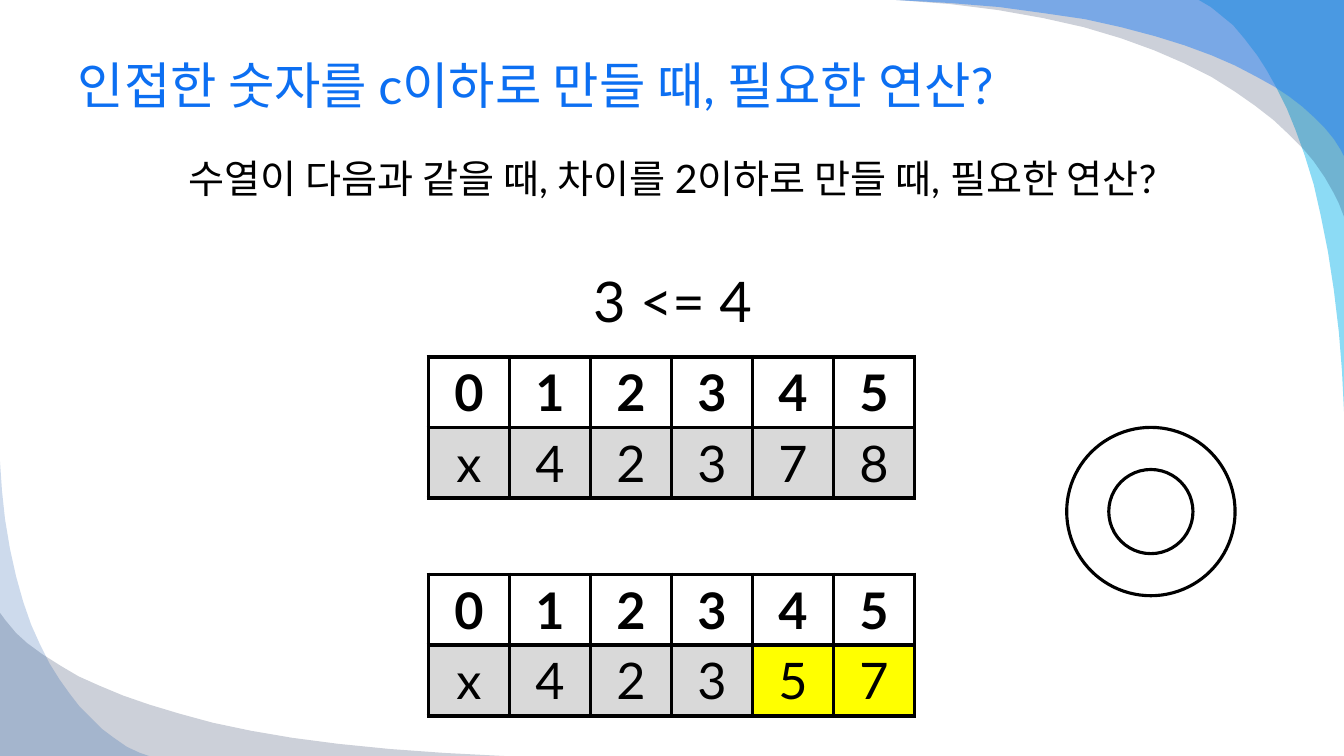
from dataclasses import dataclass

from lxml import etree
from pptx import Presentation
from pptx.dml.color import RGBColor
from pptx.enum.shapes import MSO_SHAPE
from pptx.enum.text import MSO_ANCHOR, MSO_AUTO_SIZE, PP_ALIGN
from pptx.oxml.ns import qn
from pptx.slide import Slide
from pptx.text.text import _Paragraph as Paragraph
from pptx.util import Inches, Pt

BLACK = RGBColor(0x00, 0x00, 0x00)
WHITE = RGBColor(0xFF, 0xFF, 0xFF)
GREY = RGBColor(0xD9, 0xD9, 0xD9)
YELLOW = RGBColor(0xFF, 0xFF, 0x00)
TITLE_BLUE = RGBColor(0x0C, 0x6F, 0xF2)
CYAN = RGBColor(0x00, 0xB1, 0xE9)
NAVY = RGBColor(0x02, 0x17, 0x41)
SKY_BLUE = RGBColor(0x24, 0x7F, 0xF4)
DEEP_BLUE = RGBColor(0x08, 0x4A, 0xA1)

FONT = "Lato"
TABLE_LEFT = 4.25
TABLE_WIDTH = 4.82
ROW_HEIGHT = 0.7
BORDER_SIDES = ("a:lnL", "a:lnR", "a:lnT", "a:lnB")


@dataclass(frozen=True)
class Swoosh:
    """A translucent corner: the corner point, then its curved edge."""
    color: RGBColor
    opacity: int
    outline: tuple[tuple[float, float], ...]


@dataclass(frozen=True)
class Sequence:
    top: float
    values: str
    changed: frozenset[int] = frozenset()


SWOOSHES = (
    Swoosh(CYAN, 45, (
        (13.33, 0), (11.89, 0), (12.01, 0.07), (12.12, 0.16), (12.23, 0.25),
        (12.34, 0.38), (12.47, 0.55), (12.56, 0.69), (12.66, 0.87),
        (12.76, 1.07), (12.85, 1.29), (12.94, 1.54), (13.03, 1.83),
        (13.1, 2.14), (13.17, 2.49), (13.23, 2.88), (13.28, 3.3),
        (13.31, 3.68), (13.33, 4.08))),
    Swoosh(NAVY, 20, (
        (13.33, 0), (8.89, 0), (9.42, 0.04), (9.9, 0.1), (10.35, 0.18),
        (10.75, 0.27), (11.12, 0.38), (11.45, 0.5), (11.75, 0.63),
        (12.01, 0.76), (12.25, 0.91), (12.45, 1.05), (12.63, 1.19),
        (12.79, 1.34), (12.92, 1.47), (13.03, 1.6), (13.14, 1.76),
        (13.22, 1.9), (13.28, 2.02), (13.33, 2.15))),
    Swoosh(SKY_BLUE, 49, (
        (13.33, 0), (8.89, 0), (9.42, 0.03), (9.91, 0.07), (10.35, 0.13),
        (10.76, 0.19), (11.12, 0.27), (11.46, 0.36), (11.75, 0.45),
        (12.02, 0.55), (12.25, 0.65), (12.46, 0.76), (12.64, 0.86),
        (12.79, 0.96), (12.92, 1.06), (13.03, 1.16), (13.14, 1.27),
        (13.23, 1.38), (13.3, 1.49), (13.33, 1.55))),
    Swoosh(NAVY, 20, (
        (0, 7.5), (0, 6.08), (0.06, 6.16), (0.16, 6.28), (0.27, 6.38),
        (0.42, 6.49), (0.61, 6.61), (0.78, 6.71), (0.98, 6.8), (1.22, 6.9),
        (1.48, 6.99), (1.78, 7.08), (2.11, 7.17), (2.49, 7.25), (2.9, 7.32),
        (3.36, 7.38), (3.86, 7.43), (4.41, 7.47), (5, 7.5))),
    Swoosh(DEEP_BLUE, 20, (
        (0, 7.5), (0, 4.58), (0.02, 4.87), (0.05, 5.15), (0.1, 5.45),
        (0.16, 5.72), (0.23, 5.97), (0.31, 6.2), (0.4, 6.4), (0.49, 6.58),
        (0.59, 6.74), (0.69, 6.88), (0.79, 7.01), (0.89, 7.11), (1.01, 7.23),
        (1.13, 7.32), (1.26, 7.41), (1.39, 7.47), (1.48, 7.5))),
)

SEQUENCES = (
    Sequence(3.54, "x42378"),
    Sequence(5.7, "x42357", frozenset({4, 5})),
)


def add_run(paragraph: Paragraph, text: str, size: int,
            color: RGBColor = BLACK, bold: bool = False) -> None:
    run = paragraph.add_run()
    run.text = text
    run.font.name = FONT
    run.font.size = Pt(size)
    run.font.bold = bold
    run.font.color.rgb = color


def add_swoosh(slide: Slide, swoosh: Swoosh) -> None:
    corner, *edge = [(Inches(x), Inches(y)) for x, y in swoosh.outline]
    builder = slide.shapes.build_freeform(*corner)
    builder.add_line_segments(edge)
    shape = builder.convert_to_shape()
    shape.shadow.inherit = False
    shape.line.fill.background()
    shape.fill.solid()
    shape.fill.fore_color.rgb = swoosh.color
    color = shape.element.spPr.find(f".//{qn('a:srgbClr')}")
    etree.SubElement(color, qn("a:alpha"), val=str(swoosh.opacity * 1000))
    slide.shapes.title.element.addprevious(shape.element)


def set_title(slide: Slide) -> None:
    title = slide.shapes.title
    title.left, title.top = Inches(0.67), Inches(0.33)
    title.width, title.height = Inches(12), Inches(1.01)
    frame = title.text_frame
    frame.auto_size = MSO_AUTO_SIZE.NONE
    frame.vertical_anchor = MSO_ANCHOR.MIDDLE
    paragraph = frame.paragraphs[0]
    paragraph.alignment = PP_ALIGN.LEFT
    add_run(paragraph, "인접한 숫자를 c이하로 만들 때, 필요한 연산?", 36, TITLE_BLUE)


def add_question(slide: Slide) -> None:
    frame = slide.shapes.add_textbox(
        Inches(0.67), Inches(1.48), Inches(12), Inches(1.68)).text_frame
    frame.word_wrap = True
    question = frame.paragraphs[0]
    question.alignment = PP_ALIGN.CENTER
    add_run(question, "수열이 다음과 같을 때, 차이를 2이하로 만들 때, 필요한 연산?", 28)
    comparison = frame.add_paragraph()
    comparison.alignment = PP_ALIGN.CENTER
    comparison.space_before = Pt(47)
    add_run(comparison, "3 <= 4", 40)


def add_sequence(slide: Slide, sequence: Sequence) -> None:
    """Draw a table of indices above the values, with changed ones in yellow."""
    count = len(sequence.values)
    table = slide.shapes.add_table(
        2, count, Inches(TABLE_LEFT), Inches(sequence.top),
        Inches(TABLE_WIDTH), Inches(2 * ROW_HEIGHT)).table
    table.first_row = table.horz_banding = False
    for column, value in enumerate(sequence.values):
        value_fill = YELLOW if column in sequence.changed else GREY
        entries = ((str(column), WHITE, True), (value, value_fill, False))
        for row, (text, fill, bold) in enumerate(entries):
            cell = table.cell(row, column)
            cell.vertical_anchor = MSO_ANCHOR.MIDDLE
            paragraph = cell.text_frame.paragraphs[0]
            paragraph.alignment = PP_ALIGN.CENTER
            add_run(paragraph, text, 36, bold=bold)
            properties = cell._tc.get_or_add_tcPr()
            for side in BORDER_SIDES:
                line = etree.SubElement(properties, qn(side), w=str(Pt(3)))
                solid = etree.SubElement(line, qn("a:solidFill"))
                etree.SubElement(solid, qn("a:srgbClr"), val=str(BLACK))
            cell.fill.solid()
            cell.fill.fore_color.rgb = fill


def add_ring(slide: Slide) -> None:
    ring = slide.shapes.add_shape(
        MSO_SHAPE.DONUT, Inches(10.58), Inches(4.24), Inches(1.67), Inches(1.67))
    ring.shadow.inherit = False
    ring.fill.solid()
    ring.fill.fore_color.rgb = WHITE
    ring.line.color.rgb = BLACK
    ring.line.width = Pt(2.25)


def main() -> None:
    presentation = Presentation()
    presentation.slide_width = Inches(13.33)
    presentation.slide_height = Inches(7.5)
    slide = presentation.slides.add_slide(presentation.slide_layouts[5])
    for swoosh in SWOOSHES:
        add_swoosh(slide, swoosh)
    set_title(slide)
    add_question(slide)
    for sequence in SEQUENCES:
        add_sequence(slide, sequence)
    add_ring(slide)
    presentation.save("out.pptx")


if __name__ == "__main__":
    main()
